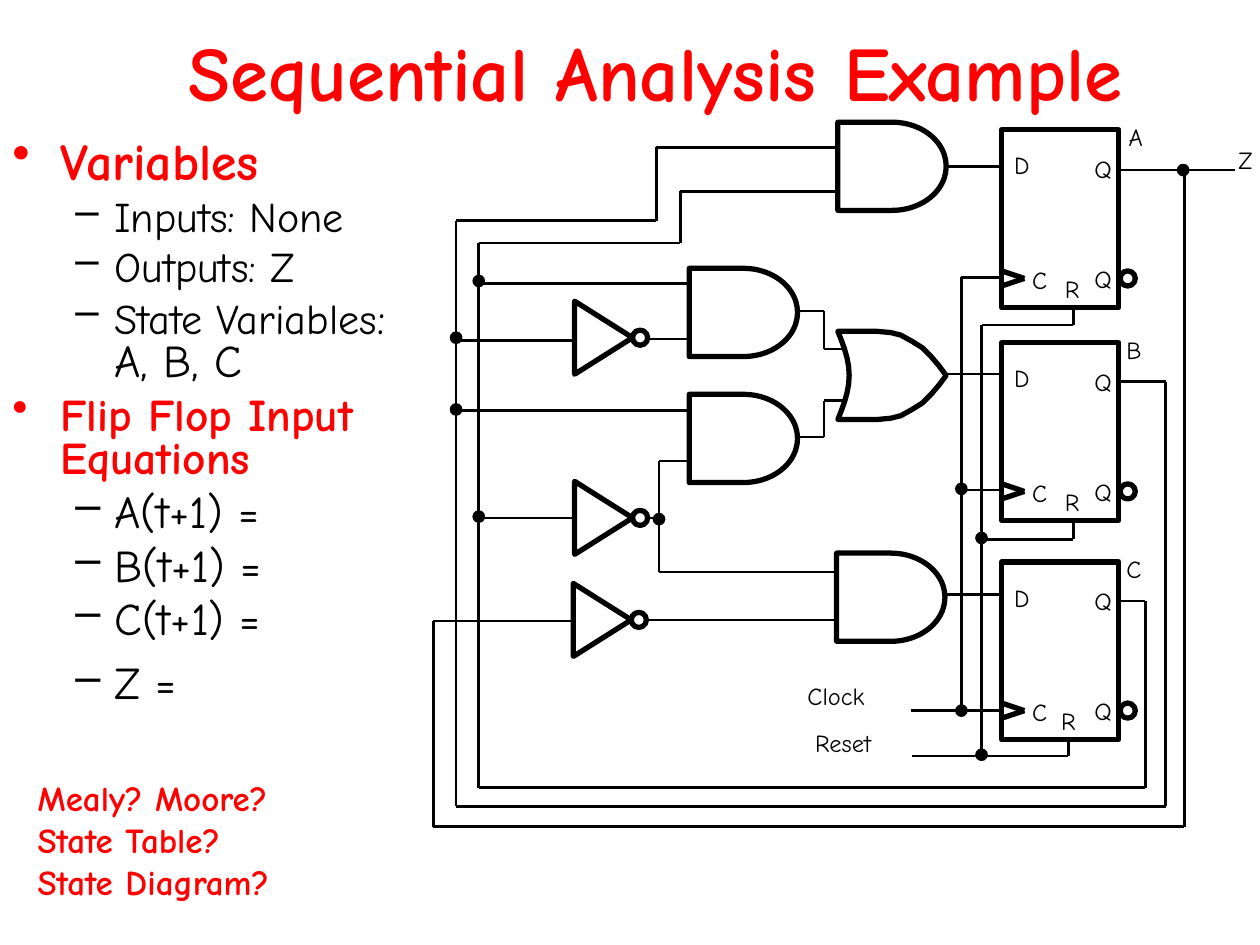
from dataclasses import dataclass
from math import pi, sin

from lxml.etree import SubElement
from pptx import Presentation
from pptx.dml.color import RGBColor
from pptx.enum.shapes import MSO_CONNECTOR as Connector, MSO_SHAPE as Shape
from pptx.enum.text import MSO_ANCHOR as Anchor, PP_ALIGN as Align
from pptx.oxml.ns import qn
from pptx.util import Cm, Pt


@dataclass(frozen=True)
class Theme:
    """Hold the colours, font, type sizes and line widths of the slide."""
    accent: RGBColor = RGBColor(255, 0, 0)
    ink: RGBColor = RGBColor(0, 0, 0)
    font: str = "Comic Neue"
    title: float = 44
    heading: float = 29.6
    item: float = 25.9
    small_item: float = 24.1
    question: float = 20
    label: float = 14
    wire: float = 1.5
    outline: float = 3


THEME = Theme()
CM_PER_UNIT = 2.54
GATE = (0.86, 0.7)
FLIP_FLOP = (0.93, 1.41)
FLIP_FLOP_LEFT = 7.95

WIRES = [
    [(7.5, 1.32), (7.95, 1.32)],
    [(7.51, 2.97), (7.95, 2.97)],
    [(7.51, 4.72), (7.95, 4.72)],
    [(6.34, 2.47), (6.54, 2.47), (6.54, 2.77), (6.7, 2.77)],
    [(6.34, 3.47), (6.54, 3.47), (6.54, 3.18), (6.7, 3.18)],
    [(5.47, 3.66), (5.23, 3.66), (5.23, 4.54), (6.63, 4.54)],
    [(5.14, 4.11), (5.23, 4.11)],
    [(5.12, 4.92), (6.63, 4.92)],
    [(5.15, 2.69), (5.48, 2.69)],
    [(7.95, 2.2), (7.63, 2.2), (7.63, 5.64)],
    [(7.23, 5.64), (7.95, 5.64)],
    [(7.63, 3.89), (7.95, 3.89)],
    [(8.52, 2.45), (8.52, 2.58), (7.79, 2.58), (7.79, 6)],
    [(8.52, 4.14), (8.52, 4.28), (7.79, 4.28)],
    [(7.24, 6), (8.48, 6), (8.48, 5.87)],
    [(8.88, 1.35), (9.8, 1.35)],
    [(9.4, 1.35), (9.4, 6.56), (3.44, 6.56), (3.44, 4.93), (4.54, 4.93)],
    [(8.88, 3.03), (9.25, 3.03), (9.25, 6.4), (3.62, 6.4), (3.62, 1.75),
     (5.21, 1.75), (5.21, 1.17), (6.64, 1.17)],
    [(8.88, 4.77), (9.09, 4.77), (9.09, 6.25), (3.8, 6.25), (3.8, 1.93),
     (5.4, 1.93), (5.4, 1.52), (6.64, 1.52)],
    [(3.8, 2.25), (5.47, 2.25)],
    [(3.62, 2.7), (4.55, 2.7)],
    [(3.62, 3.26), (5.47, 3.26)],
    [(3.8, 4.11), (4.55, 4.11)],
]
JUNCTIONS = [(5.23, 4.12), (7.79, 4.27), (7.79, 5.99), (7.63, 5.64), (7.63, 3.88),
             (3.62, 2.68), (3.8, 2.23), (3.62, 3.25), (3.8, 4.1), (9.39, 1.35)]
AND_GATES = [(6.65, 0.97), (5.47, 2.13), (5.47, 3.13), (6.64, 4.39)]
INVERTERS = [(4.79, 2.68), (4.79, 4.11), (4.78, 4.92)]
FLIP_FLOPS = [("A", 1.03, 8.86, 8.35), ("B", 2.72, 8.84, 8.35), ("C", 4.46, 8.84, 8.32)]
SIGNALS = [("Clock", 6.31, 5.36, 1.09), ("Reset", 6.37, 5.73, 1.09), ("Z", 9.73, 1.1, 0.52)]
OUTLINE = [
    (0, 0.8, [("Variables", THEME.heading)]),
    (1, 0.8, [("Inputs: None", THEME.small_item)]),
    (1, 0.8, [("Outputs: Z", THEME.small_item)]),
    (1, 0.8, [("State Variables", THEME.small_item), (": A, B, C", THEME.item)]),
    (0, 0.8, [("Flip Flop Input Equations", THEME.item)]),
    (1, 0.8, [("A(t+1) =", THEME.item)]),
    (1, 0.8, [("B(t+1) =", THEME.item)]),
    (1, 0.8, [("C(t+1) =", THEME.item)]),
    (1, 1.0, [("Z =", THEME.item)]),
]
QUESTIONS = ["Mealy? Moore?", "State Table?", "State Diagram?"]


def cm(*values):
    """Turn drawing units into lengths."""
    return [Cm(value * CM_PER_UNIT) for value in values]


def apply(target, **values):
    """Set each named attribute on the target."""
    for name, value in values.items():
        setattr(target, name, value)


def style_run(run, size, color=THEME.ink, bold=False):
    """Give a run its font, size, weight and colour."""
    apply(run.font, name=THEME.font, size=Pt(size), bold=bold)
    run.font.color.rgb = color


def add_box(slide, box, **frame_format):
    """Add a wrapping text box and return its text frame."""
    frame = slide.shapes.add_textbox(*cm(*box)).text_frame
    apply(frame, **{"word_wrap": True, **frame_format})
    return frame


def add_text(slide, box, lines, size, color=THEME.ink, bold=False, align=Align.LEFT, **frame_format):
    """Add plain lines of text in one style."""
    frame = add_box(slide, box, **frame_format)
    for index, line in enumerate(lines):
        paragraph = frame.add_paragraph() if index else frame.paragraphs[0]
        paragraph.alignment = align
        run = paragraph.add_run()
        run.text = line
        style_run(run, size, color, bold)


def add_outline(slide, box):
    """Add the two-level bulleted list."""
    frame = add_box(slide, box)
    levels = [("•", 0.38, -0.38, THEME.accent), ("–", 0.81, -0.31, THEME.ink)]
    for index, (level, spacing, parts) in enumerate(OUTLINE):
        bullet, margin, indent, color = levels[level]
        paragraph = frame.add_paragraph() if index else frame.paragraphs[0]
        space = Pt(round(0.22 * parts[0][1], 1)) if index else Pt(0)
        apply(paragraph, level=level, line_spacing=spacing, space_before=space)
        properties = paragraph._p.get_or_add_pPr()
        for name, value in (("marL", margin), ("indent", indent)):
            properties.set(name, str(int(cm(value)[0])))
        SubElement(properties, qn("a:buChar")).set("char", bullet)
        for text, size in parts:
            run = paragraph.add_run()
            run.text = text
            style_run(run, size, color, level == 0)


def add_wire(slide, points, width=THEME.wire):
    """Join consecutive points with straight connectors."""
    for start, end in zip(points, points[1:]):
        line = slide.shapes.add_connector(Connector.STRAIGHT, *cm(*start, *end))
        line.line.color.rgb = THEME.ink
        line.line.width = Pt(width)
        SubElement(line._element.spPr, qn("a:effectLst"))


def style_shape(shape, width=THEME.outline, filled=False):
    """Give a shape a black outline and an optional black fill."""
    shape.shadow.inherit = False
    shape.line.color.rgb = THEME.ink
    shape.line.width = Pt(width)
    if filled:
        shape.fill.solid()
        shape.fill.fore_color.rgb = THEME.ink
    else:
        shape.fill.background()


def add_symbol(slide, kind, box, rotation=0, **look):
    """Add one outlined preset shape."""
    shape = slide.shapes.add_shape(kind, *cm(*box))
    shape.rotation = rotation
    style_shape(shape, **look)


def add_inverter(slide, x, y):
    """Add a triangle pointing right with its bubble."""
    add_symbol(slide, Shape.ISOSCELES_TRIANGLE, (x - 0.29, y - 0.23, 0.58, 0.46), rotation=90)
    add_symbol(slide, Shape.OVAL, (x + 0.23, y - 0.06, 0.12, 0.12))


def add_or_gate(slide, left, middle):
    """Add an OR gate that is symmetric about its middle."""
    back = [(0.09 * sin(pi * step / 10), 0.07 * step - 0.35) for step in range(11)]
    nose = [(0.31, 0.35), (0.42, 0.34), (0.5, 0.32), (0.59, 0.27), (0.67, 0.22),
            (0.74, 0.15), (0.8, 0.08), (0.86, 0)]
    contour = back + nose + [(x, -y) for x, y in nose[-2::-1]]
    points = [tuple(cm(left + x, middle + y)) for x, y in contour]
    builder = slide.shapes.build_freeform(*points[0])
    builder.add_line_segments(points[1:], close=True)
    style_shape(builder.convert_to_shape())


def add_flip_flop(slide, name, top, name_left, reset_left):
    """Add a D flip-flop with its pin labels, clock mark and bubble."""
    left = FLIP_FLOP_LEFT
    add_symbol(slide, Shape.RECTANGLE, (left, top, *FLIP_FLOP))
    add_symbol(slide, Shape.OVAL, (left + 0.94, top + 1.12, 0.12, 0.12))
    add_wire(slide, [(left, top + 1.12), (left + 0.18, top + 1.18), (left, top + 1.24)], THEME.outline)
    pins = [("D", 7.94, 0.11, 0.34), ("Q", 8.57, 0.14, 0.37), ("Q", 8.57, 1.01, 0.37),
            ("C", 8.09, 1.02, 0.32), ("R", reset_left, 1.09, 0.32)]
    for pin, x, offset, width in pins:
        add_text(slide, (x, top + offset, width, 0.34), [pin], THEME.label, align=Align.CENTER,
                 word_wrap=False, vertical_anchor=Anchor.MIDDLE)
    add_text(slide, (name_left, top - 0.11, 0.52, 0.34), [name], THEME.label)


def main():
    """Build the slide and save it."""
    presentation = Presentation()
    width, height = cm(10, 7.5)
    apply(presentation, slide_width=width, slide_height=height)
    slide = presentation.slides.add_slide(presentation.slide_layouts[6])
    add_text(slide, (0.78, 0, 8.85, 1.12), ["Sequential Analysis Example"], THEME.title, THEME.accent,
             True, Align.CENTER, vertical_anchor=Anchor.MIDDLE)
    for points in WIRES:
        add_wire(slide, points)
    for x, y in JUNCTIONS:
        add_symbol(slide, Shape.OVAL, (x - 0.04, y - 0.04, 0.08, 0.08), width=THEME.wire, filled=True)
    for corner in AND_GATES:
        add_symbol(slide, Shape.FLOWCHART_DELAY, (*corner, *GATE))
    add_or_gate(slide, 6.65, 2.98)
    for center in INVERTERS:
        add_inverter(slide, *center)
    for flip_flop in FLIP_FLOPS:
        add_flip_flop(slide, *flip_flop)
    for text, x, y, label_width in SIGNALS:
        add_text(slide, (x, y, label_width, 0.34), [text], THEME.label)
    add_outline(slide, (0, 1.07, 3.5, 4.95))
    add_text(slide, (0.2, 6.11, 3.23, 1.11), QUESTIONS, THEME.question, THEME.accent, True)
    presentation.save("out.pptx")


if __name__ == "__main__":
    main()
